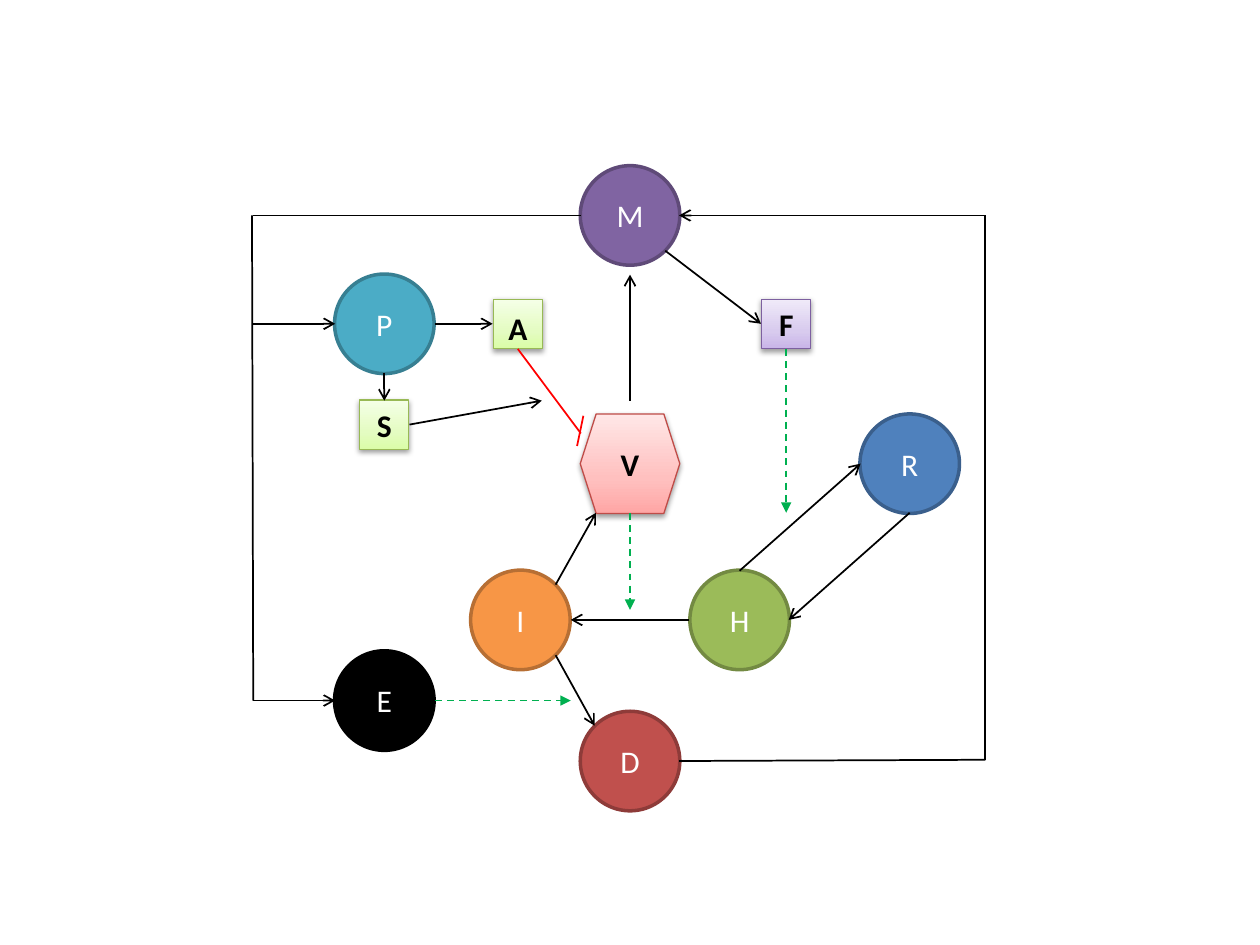
from copy import deepcopy

from lxml import etree
from pptx import Presentation
from pptx.dml.color import RGBColor
from pptx.enum import dml, shapes, text
from pptx.oxml.ns import qn
from pptx.util import Inches, Pt

COLORS = {
    "black": "000000", "white": "FFFFFF", "red": "FF0000", "green": "00B050",
}
# Fill and outline of each circle
CIRCLE_COLORS = {
    "R": ("4F81BD", "3A5F8C"), "I": ("F79646", "B76F34"),
    "D": ("C0504D", "8E3B39"), "H": ("9BBB59", "738A42"),
    "M": ("8064A2", "5F4A78"), "E": ("000000", "000000"),
    "P": ("4BACC6", "377F92"),
}
# Gradient stops and outline of each shaded box
PINK = (("FFA6A5", "FFC0BF", "FFE7E7"), "BF4C48")
LILAC = (("C9B5E8", "D8CBEE", "F0EAF9"), "7D60A0")
LIME = (("DAFDA7", "E4FCC2", "F5FFE7"), "98B955")
BOX_COLORS = {"V": PINK, "F": LILAC, "A": LIME, "S": LIME}
STOPS = (0, 0.35, 1)

# Centre of each node
CENTERS = {
    "R": (7.22, 3.68), "I": (4.13, 4.92), "D": (5, 6.04), "H": (5.87, 4.92),
    "M": (5, 1.71), "V": (5, 3.68), "F": (6.24, 2.57), "E": (3.05, 5.56),
    "P": (3.05, 2.57), "A": (4.11, 2.57), "S": (3.05, 3.37),
}
LARGE, SMALL = 0.79, 0.39
LABEL_W, LABEL_H = 0.45, 0.4
LABEL_DROP = {"A": 0.03}

# Line style: colour, dashed, arrowhead
STYLES = {
    "plain": ("black", False, None),
    "arrow": ("black", False, "arrow"),
    "effect": ("green", True, "triangle"),
    "block": ("red", False, None),
}
LINES = [
    # Main cycle
    ("arrow", (5.47, 4.92), (4.53, 4.92)),
    ("arrow", (4.41, 4.64), (4.73, 4.07)),
    ("arrow", (4.41, 5.2), (4.72, 5.76)),
    ("arrow", (5.87, 4.53), (6.83, 3.68)),
    ("arrow", (7.22, 4.07), (6.26, 4.92)),
    ("arrow", (5, 3.18), (5, 2.18)),
    ("arrow", (5.28, 1.99), (6.04, 2.57)),
    # Right loop from D to M
    ("plain", (5.39, 6.04), (7.82, 6.03)),
    ("plain", (7.82, 6.03), (7.82, 1.71)),
    ("arrow", (7.82, 1.71), (5.39, 1.71)),
    # Left branch from M to P and E
    ("plain", (2.01, 1.71), (4.61, 1.71)),
    ("plain", (2.01, 5.56), (2, 1.71)),
    ("arrow", (2, 2.57), (2.66, 2.57)),
    ("arrow", (2.01, 5.56), (2.66, 5.56)),
    # Products of P
    ("arrow", (3.45, 2.57), (3.91, 2.57)),
    ("arrow", (3.05, 2.96), (3.05, 3.18)),
    ("arrow", (3.25, 3.37), (4.3, 3.18)),
    # Inhibition of V, with its end bar
    ("block", (4.11, 2.77), (4.61, 3.44)),
    ("block", (4.58, 3.54), (4.63, 3.3)),
    # Dashed effects
    ("effect", (5, 4.07), (5, 4.84)),
    ("effect", (6.24, 2.77), (6.24, 4.07)),
    ("effect", (3.45, 5.56), (4.53, 5.56)),
]


def rgb(value):
    return RGBColor.from_string(value)


def add_node(s, kind, center, size, outline, width):
    x, y = center
    sp = s.shapes.add_shape(kind, Inches(x - size / 2), Inches(y - size / 2),
                            Inches(size), Inches(size))
    sp.shadow.inherit = False
    sp.line.color.rgb = rgb(outline)
    sp.line.width = Pt(width)
    return sp


def shade(sp, colors):
    """Three-stop upward gradient with a soft shadow below."""
    sp.fill.gradient()
    sp.fill.gradient_angle = 90
    stops = sp._element.spPr.find(".//" + qn("a:gsLst"))
    stops.insert(1, deepcopy(stops[0]))
    for stop, position, color in zip(sp.fill.gradient_stops, STOPS, colors):
        stop.position = position
        stop.color.rgb = rgb(color)
    effects = sp._element.spPr.find(qn("a:effectLst"))
    shadow = etree.SubElement(effects, qn("a:outerShdw"), blurRad=str(Pt(3.1)),
                              dist=str(Pt(1.6)), dir="5400000", rotWithShape="0")
    color = etree.SubElement(shadow, qn("a:srgbClr"), val=COLORS["black"])
    etree.SubElement(color, qn("a:alpha"), val="38000")


def add_line(s, style, start, end):
    color, dashed, head = STYLES[style]
    cx = s.shapes.add_connector(shapes.MSO_CONNECTOR.STRAIGHT,
                                *(Inches(v) for v in start + end))
    cx.line.color.rgb = rgb(COLORS[color])
    cx.line.width = Pt(1)
    if dashed:
        cx.line.dash_style = dml.MSO_LINE.DASH
    if head:
        etree.SubElement(cx.line._get_or_add_ln(), qn("a:tailEnd"), type=head)
    etree.SubElement(cx._element.spPr, qn("a:effectLst"))


def add_label(s, name, center):
    x, y = center
    tb = s.shapes.add_textbox(Inches(x - LABEL_W / 2),
                              Inches(y - LABEL_H / 2 + LABEL_DROP.get(name, 0)),
                              Inches(LABEL_W), Inches(LABEL_H))
    tf = tb.text_frame
    tf.word_wrap = True
    tf.auto_size = text.MSO_AUTO_SIZE.SHAPE_TO_FIT_TEXT
    p = tf.paragraphs[0]
    p.text = name
    p.alignment = text.PP_ALIGN.CENTER
    p.font.name = "Calibri"
    p.font.size = Pt(18)
    p.font.bold = name in BOX_COLORS
    p.font.color.rgb = rgb(COLORS["black" if name in BOX_COLORS else "white"])


def main():
    prs = Presentation()
    prs.slide_width, prs.slide_height = Inches(10), Inches(7.5)
    s = prs.slides.add_slide(prs.slide_layouts[6])

    # Circles
    for name, (fill, outline) in CIRCLE_COLORS.items():
        sp = add_node(s, shapes.MSO_SHAPE.OVAL, CENTERS[name], LARGE, outline, 2)
        sp.fill.solid()
        sp.fill.fore_color.rgb = rgb(fill)

    # Hexagon and squares
    for name, (colors, outline) in BOX_COLORS.items():
        is_hexagon = name == "V"
        kind = shapes.MSO_SHAPE.HEXAGON if is_hexagon else shapes.MSO_SHAPE.RECTANGLE
        sp = add_node(s, kind, CENTERS[name], LARGE if is_hexagon else SMALL,
                      outline, 0.75)
        if is_hexagon:
            sp.adjustments[0] = 0.16
        shade(sp, colors)

    for line in LINES:
        add_line(s, *line)
    for name, center in CENTERS.items():
        add_label(s, name, center)

    prs.save("out.pptx")


if __name__ == "__main__":
    main()
